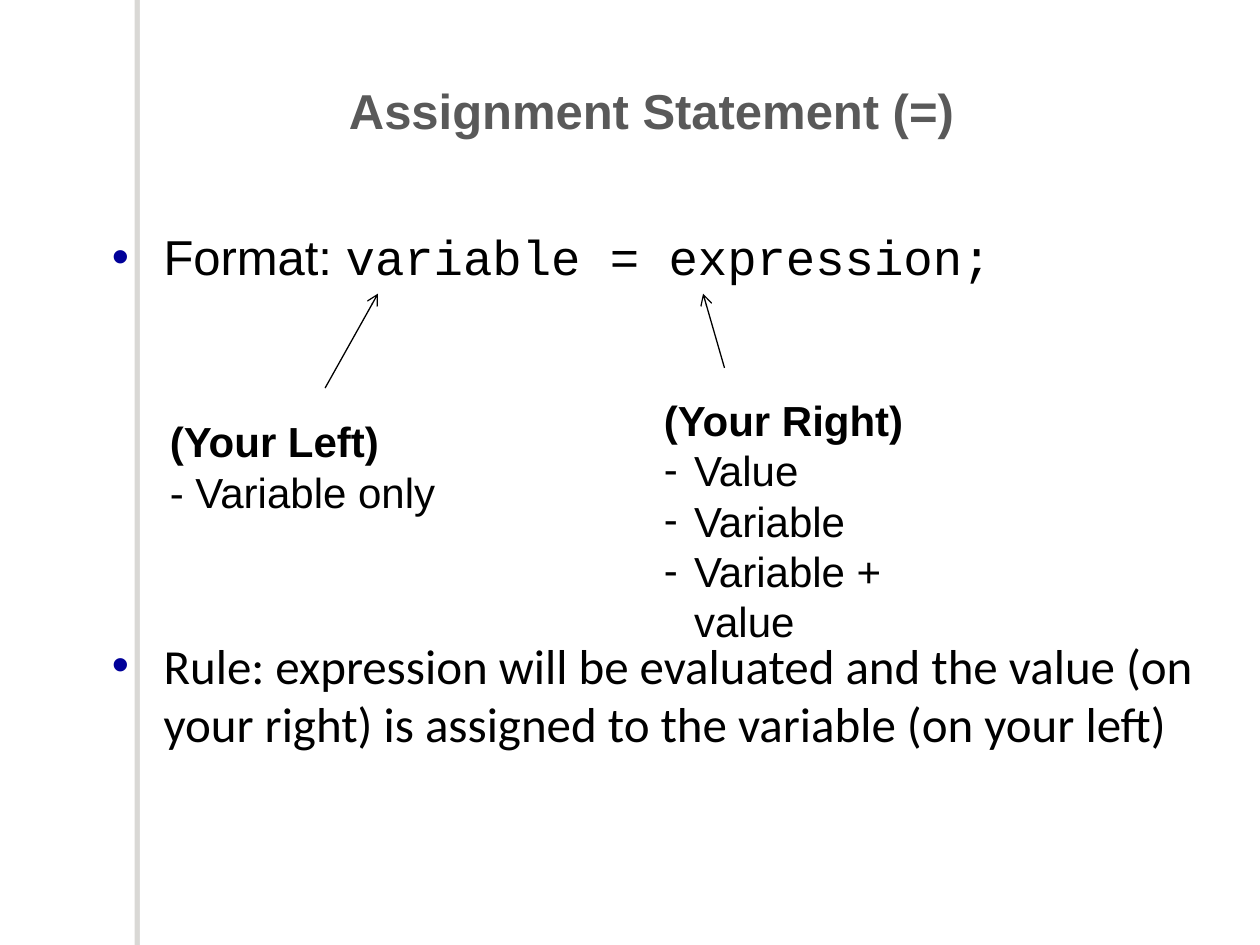
from dataclasses import dataclass

import pptx
import pptx.dml.color
import pptx.enum.shapes
import pptx.enum.text
import pptx.oxml
import pptx.oxml.ns
import pptx.util
from pptx.util import Inches

COLORS = {"text": "000000", "title": "595959", "bullet": "000099",
          "strip": "FFFFFF", "shadow": "706B5F"}
NS = pptx.oxml.ns.nsdecls("a")


@dataclass
class Run:
    text: str
    font: str = "Arial"
    bold: bool = False


@dataclass
class Para:
    runs: list[Run]
    bullet: str = ""
    bullet_color: str = "text"
    margin: float = 0
    hanging: float = 0
    before: float = 0
    after: float = 0


@dataclass
class Box:
    left: float
    top: float
    width: float
    height: float
    paras: list[Para]
    size: int
    color: str = "text"
    centered: bool = False


@dataclass
class Arrow:
    start: tuple[float, float]
    end: tuple[float, float]


def rgb(name: str) -> pptx.dml.color.RGBColor:
    return pptx.dml.color.RGBColor.from_string(COLORS[name])


def add_bullet(p, para: Para) -> None:
    pPr = p._p.get_or_add_pPr()
    pPr.set("marL", str(Inches(para.margin)))
    pPr.set("indent", str(-Inches(para.hanging)))
    for xml in (
        f'<a:buClr {NS}><a:srgbClr val="{COLORS[para.bullet_color]}"/></a:buClr>',
        f'<a:buFont {NS} typeface="Arial"/>',
        f'<a:buChar {NS} char="{para.bullet}"/>',
    ):
        pPr.append(pptx.oxml.parse_xml(xml))


def draw_box(s, box: Box) -> None:
    sp = s.shapes.add_textbox(Inches(box.left), Inches(box.top),
                              Inches(box.width), Inches(box.height))
    tf = sp.text_frame
    tf.word_wrap = True
    if box.centered:
        tf.vertical_anchor = pptx.enum.text.MSO_ANCHOR.MIDDLE
    for i, para in enumerate(box.paras):
        p = tf.add_paragraph() if i else tf.paragraphs[0]
        if box.centered:
            p.alignment = pptx.enum.text.PP_ALIGN.CENTER
        p.space_before = pptx.util.Pt(para.before)
        p.space_after = pptx.util.Pt(para.after)
        if para.bullet:
            add_bullet(p, para)
        for run in para.runs:
            r = p.add_run()
            r.text = run.text
            r.font.name = run.font
            r.font.size = pptx.util.Pt(box.size)
            r.font.bold = run.bold
            r.font.color.rgb = rgb(box.color)


def draw_arrow(s, arrow: Arrow) -> None:
    line = s.shapes.add_connector(pptx.enum.shapes.MSO_CONNECTOR.STRAIGHT,
                                  *map(Inches, arrow.start + arrow.end))
    line.line.color.rgb = rgb("text")
    line.line.width = pptx.util.Pt(0.75)
    line.line._get_or_add_ln().append(
        pptx.oxml.parse_xml(f'<a:tailEnd {NS} type="arrow"/>'))
    line._element.spPr.append(pptx.oxml.parse_xml(f"<a:effectLst {NS}/>"))


def draw_strip(s) -> None:
    sp = s.shapes.add_shape(pptx.enum.shapes.MSO_SHAPE.RECTANGLE,
                            Inches(1.11), 0, Inches(0.08), Inches(7.5))
    sp.fill.solid()
    sp.fill.fore_color.rgb = rgb("strip")
    sp.line.fill.background()
    sp._element.spPr.append(pptx.oxml.parse_xml(
        f'<a:effectLst {NS}><a:outerShdw dist="{pptx.util.Pt(3)}" dir="10800000">'
        f'<a:srgbClr val="{COLORS["shadow"]}"><a:alpha val="25000"/></a:srgbClr>'
        '</a:outerShdw></a:effectLst>'))


def point(*runs: Run, before: float) -> Para:
    return Para(list(runs), "•", "bullet", 0.45, 0.41, before, 5.2)


def heading(text: str) -> Para:
    return Para([Run(text, bold=True)])


def option(text: str) -> Para:
    return Para([Run(text)], "-", margin=0.24, hanging=0.24)


BOXES = [
    Box(0.67, 0.25, 9, 1.25, [heading("Assignment Statement (=)")],
        28, "title", True),
    Box(0.75, 1.75, 9, 4.95, [
        point(Run("Format: "), Run("variable = expression;", "Courier New"), before=3),
        point(Run("Rule: expression will be evaluated and the value (on your right) "
                  "is assigned to the variable (on your left)", "Calibri"), before=194.5),
    ], 28),
    Box(1.25, 3.25, 2.33, 0.9, [
        heading("(Your Left)"),
        Para([Run("- Variable only")]),
    ], 24),
    Box(5.17, 3.08, 2.71, 1.7, [
        heading("(Your Right)"),
        *map(option, ("Value", "Variable", "Variable + value")),
    ], 24),
]
ARROWS = [Arrow((2.58, 3.08), (3, 2.33)), Arrow((5.75, 2.92), (5.58, 2.33))]


def main() -> None:
    prs = pptx.Presentation()
    prs.slide_width, prs.slide_height = Inches(10), Inches(7.5)
    s = prs.slides.add_slide(prs.slide_layouts[6])
    draw_strip(s)
    for box in BOXES:
        draw_box(s, box)
    for arrow in ARROWS:
        draw_arrow(s, arrow)
    prs.save("out.pptx")


if __name__ == "__main__":
    main()
